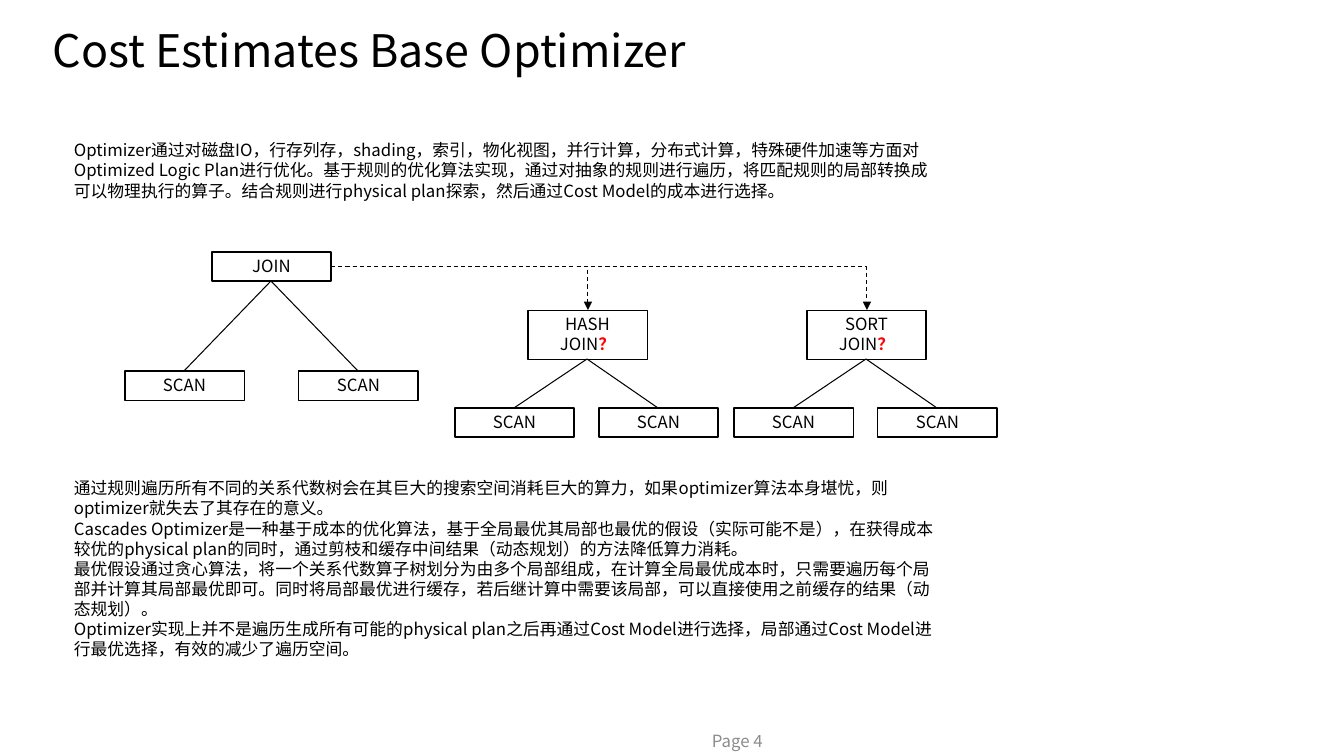
from dataclasses import dataclass

from lxml import etree
from pptx import Presentation
from pptx import util as u
from pptx.dml.color import RGBColor
from pptx.enum import dml, shapes, text
from pptx.oxml import ns

SCALE = 914400 / 100.8


@dataclass(frozen=True)
class Theme:
    """Hold the colours, sizes and font of the slide."""
    font: str = "Noto Sans CJK SC"
    ink: str = "000000"
    grey: str = "8C8C8C"
    red: str = "FF0000"
    head: int = 32
    body: int = 12
    line: float = 0.75


def px(*nums):
    """Turn whole pixels into EMU."""
    return [u.Emu(round(n * SCALE)) for n in nums]


def sub(node, tag, **attrs):
    """Append a drawing element with its attributes."""
    return etree.SubElement(node, ns.qn(tag), **attrs)


class Page:
    """Draw elements on the current slide in one style."""

    def __init__(self, slide, theme):
        """Keep the slide and the theme."""
        self.slide, self.theme = slide, theme

    def style(self, run, size, color, bold=None):
        """Set the font of one run for Latin and Asian text."""
        font = run.font
        font.name, font.size, font.bold = self.theme.font, u.Pt(size), bold
        font.color.rgb = RGBColor.from_string(color)
        sub(run._r.get_or_add_rPr(), "a:ea", typeface=self.theme.font)

    def fill(self, frame, words, size, color):
        """Write the words and style every run."""
        frame.text = words
        frame.word_wrap = True
        for para in frame.paragraphs:
            for run in para.runs:
                self.style(run, size, color)

    def label(self, box, words, size=None, color=None, mid=False):
        """Add a text box."""
        frame = self.slide.shapes.add_textbox(*px(*box)).text_frame
        self.fill(frame, words, size or self.theme.body, color or self.theme.ink)
        if mid:
            frame.vertical_anchor = text.MSO_ANCHOR.MIDDLE
        else:
            frame.auto_size = text.MSO_AUTO_SIZE.SHAPE_TO_FIT_TEXT
        return frame

    def node(self, box, words, mark=""):
        """Add an outlined operator box, with an optional red mark."""
        kind = shapes.MSO_SHAPE.FLOWCHART_PROCESS
        shape = self.slide.shapes.add_shape(kind, *px(*box))
        shape.shadow.inherit = False
        shape.fill.background()
        self.stroke(shape.line)
        frame = shape.text_frame
        self.fill(frame, words, self.theme.body, self.theme.ink)
        frame.margin_left, frame.margin_right = px(9, 9)
        frame.margin_top, frame.margin_bottom = px(4, 4)
        frame.vertical_anchor = text.MSO_ANCHOR.TOP
        frame.auto_size = text.MSO_AUTO_SIZE.SHAPE_TO_FIT_TEXT
        for para in frame.paragraphs:
            para.alignment = text.PP_ALIGN.CENTER
        if mark:
            run = frame.paragraphs[-1].add_run()
            run.text = mark
            self.style(run, self.theme.body, self.theme.red, True)

    def stroke(self, line):
        """Set the common line style."""
        line.color.rgb = RGBColor.from_string(self.theme.ink)
        line.width = u.Pt(self.theme.line)

    def link(self, ends, kind=shapes.MSO_CONNECTOR.STRAIGHT):
        """Add a connector without a shadow."""
        link = self.slide.shapes.add_connector(kind, *px(*ends))
        self.stroke(link.line)
        sub(link._element.spPr, "a:effectLst")
        return link

    def arrow(self, ends):
        """Add a dashed arrow with one bend."""
        link = self.link(ends, shapes.MSO_CONNECTOR.ELBOW)
        link._element.spPr.find(ns.qn("a:prstGeom")).set("prst", "bentConnector2")
        link.line.dash_style = dml.MSO_LINE.DASH
        sub(link.line._get_or_add_ln(), "a:tailEnd", type="triangle")

    def tree(self, box, words, row, shifts, mark=""):
        """Add an operator with its scans on the row below."""
        left, top, wide, high = box
        self.node(box, words, mark)
        mid = left + wide // 2
        for shift in shifts:
            self.node((left + shift, row, wide, LOW), "SCAN")
            self.link((mid, top + high, mid + shift, row))


WIDE, LOW, TALL = 119, 29, 49
JOIN = (212, 252, WIDE, LOW)
PLANS = (("HASH", 528), ("SORT", 807))
INTRO = (
    "Optimizer通过对磁盘IO，行存列存，shading，索引，物化视图，并行计算，分布式计算，"
    "特殊硬件加速等方面对Optimized Logic Plan进行优化。基于规则的优化算法实现，"
    "通过对抽象的规则进行遍历，将匹配规则的局部转换成可以物理执行的算子。"
    "结合规则进行physical plan探索，然后通过Cost Model的成本进行选择。"
)
NOTES = (
    "通过规则遍历所有不同的关系代数树会在其巨大的搜索空间消耗巨大的算力，"
    "如果optimizer算法本身堪忧，则optimizer就失去了其存在的意义。",
    "Cascades Optimizer是一种基于成本的优化算法，基于全局最优其局部也最优的假设"
    "（实际可能不是），在获得成本较优的physical plan的同时，"
    "通过剪枝和缓存中间结果（动态规划）的方法降低算力消耗。",
    "最优假设通过贪心算法，将一个关系代数算子树划分为由多个局部组成，"
    "在计算全局最优成本时，只需要遍历每个局部并计算其局部最优即可。"
    "同时将局部最优进行缓存，若后继计算中需要该局部，"
    "可以直接使用之前缓存的结果（动态规划）。",
    "Optimizer实现上并不是遍历生成所有可能的physical plan之后再通过Cost Model进行选择，"
    "局部通过Cost Model进行最优选择，有效的减少了遍历空间。",
)

deck = Presentation()
deck.slide_width, deck.slide_height = px(1344, 756)
theme = Theme()
page = Page(deck.slides.add_slide(deck.slide_layouts[6]), theme)

page.label((702, 716, 231, 50), "Page 4", color=theme.grey, mid=True)
title = page.label((43, 5, 854, 96), "Cost Estimates Base Optimizer", theme.head, mid=True)
title.paragraphs[0].line_spacing = 0.9
page.label((64, 135, 881, 72), INTRO)
page.tree(JOIN, "JOIN", 371, (-87, 87))
for name, left in PLANS:
    page.tree((left, 310, WIDE, TALL), f"{name}\nJOIN", 408, (-73, 71), "？")
    page.arrow((JOIN[0] + WIDE, JOIN[1] + LOW // 2 + 1, left + WIDE // 2 + 1, 310))
page.label((64, 473, 881, 194), "\n".join(NOTES))

deck.save("out.pptx")
